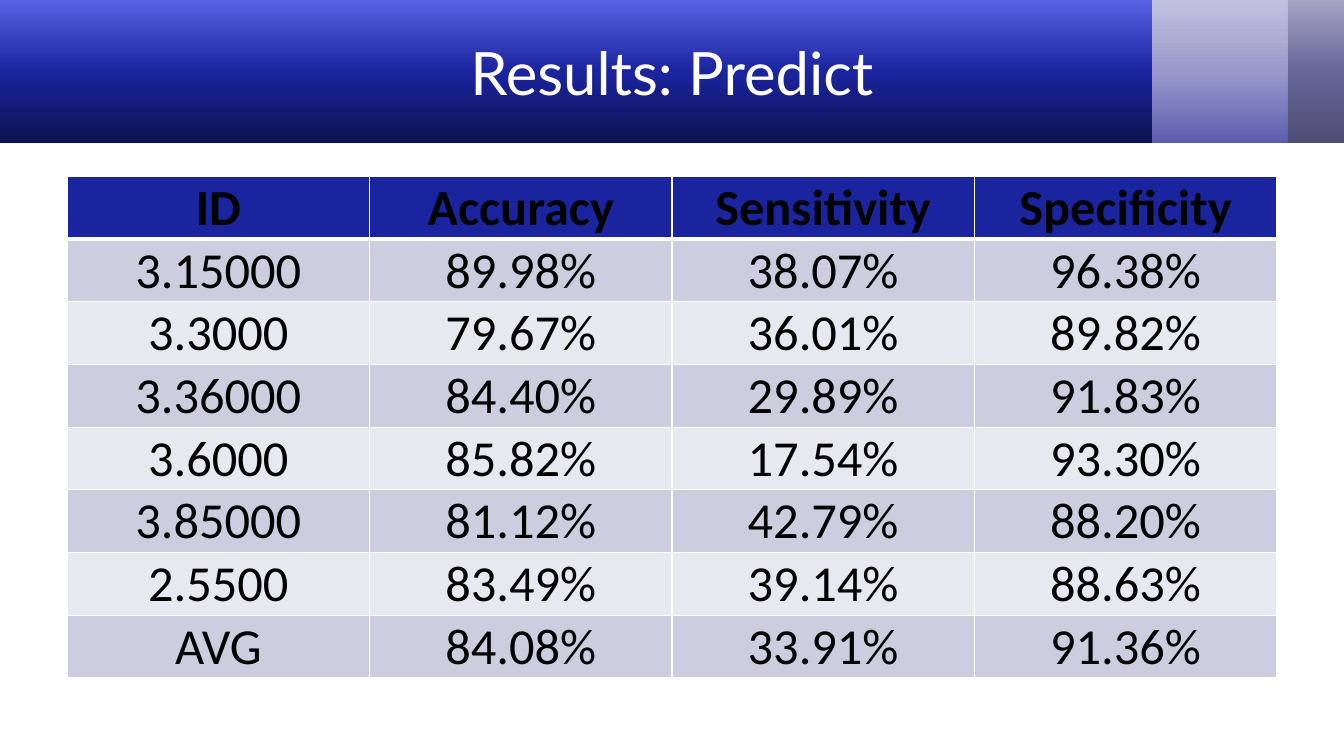
"""Build the slide of prediction results: a banded title above a table."""
from copy import deepcopy
from dataclasses import dataclass

from lxml import etree
from pptx import Presentation
from pptx import util as u
from pptx.dml.color import RGBColor
from pptx.enum import shapes, text
from pptx.oxml import ns

WIDE, HIGH = u.Inches(13.33), u.Inches(7.5)


@dataclass(frozen=True)
class Theme:
    """Colours, fonts and type sizes."""
    white: str = "FFFFFF"
    ink: str = "000000"
    head: str = "1B249F"
    rows: tuple[str, str] = ("CDCDDF", "E8E8F0")
    title_font: str = "Lato"
    table_font: str = "Calibri"
    title_size: float = 42.7
    table_size: float = 36
    thin: float = 1
    thick: float = 3


@dataclass(frozen=True)
class Box:
    """A place, in percent of the slide's width and height."""
    left: float
    top: float
    width: float
    height: float

    def emu(self) -> tuple[int, int, int, int]:
        """Return left, top, width and height in EMU."""
        return (int(WIDE * self.left / 100), int(HIGH * self.top / 100),
                int(WIDE * self.width / 100), int(HIGH * self.height / 100))


@dataclass(frozen=True)
class Band:
    """One gradient block of the header, coloured from bottom to top."""
    box: Box
    tints: tuple[str, str, str]


THEME = Theme()
BANDS = (
    Band(Box(94.3, 0, 5.82, 18.95), ("4D4D73", "666699", "A3A3C2")),
    Band(Box(85.3, 0, 10.5, 18.95), ("5D5DAE", "9999CC", "C2C2E0")),
    Band(Box(0, 0, 85.75, 18.95), ("0D1250", "1B249F", "5962E3")),
)
TITLE = Box(5, 1.07, 90, 16.67)
TABLE = Box(5, 23.33, 90, 65.07)
RESULTS = (
    ("ID", "Accuracy", "Sensitivity", "Specificity"),
    ("3.15000", "89.98%", "38.07%", "96.38%"),
    ("3.3000", "79.67%", "36.01%", "89.82%"),
    ("3.36000", "84.40%", "29.89%", "91.83%"),
    ("3.6000", "85.82%", "17.54%", "93.30%"),
    ("3.85000", "81.12%", "42.79%", "88.20%"),
    ("2.5500", "83.49%", "39.14%", "88.63%"),
    ("AVG", "84.08%", "33.91%", "91.36%"),
)


def style(para, face: str, size: float, tint: str, bold: bool = False) -> None:
    """Centre a paragraph and set its font."""
    para.alignment = text.PP_ALIGN.CENTER
    font = para.font
    font.name, font.size, font.bold = face, u.Pt(size), bold
    font.color.rgb = RGBColor.from_string(tint)


def draw_band(slide, band: Band) -> None:
    """Draw one header block with a three-stop vertical gradient."""
    block = slide.shapes.add_shape(shapes.MSO_SHAPE.RECTANGLE, *band.box.emu())
    block.shadow.inherit = False
    block.line.fill.background()
    fill = block.fill
    fill.gradient()
    fill.gradient_angle = 90
    first = block._element.spPr.find(".//" + ns.qn("a:gs"))
    first.addnext(deepcopy(first))
    for rank, (stop, tint) in enumerate(zip(fill.gradient_stops, band.tints)):
        stop.position = rank / 2
        stop.color.rgb = RGBColor.from_string(tint)


def draw_title(slide, words: str) -> None:
    """Place the title in front of the header blocks."""
    title = slide.shapes.title
    title.left, title.top, title.width, title.height = TITLE.emu()
    slide.shapes._spTree.append(title._element)
    frame = title.text_frame
    frame.text = words
    frame.auto_size = text.MSO_AUTO_SIZE.NONE
    frame.vertical_anchor = text.MSO_ANCHOR.MIDDLE
    style(frame.paragraphs[0], THEME.title_font, THEME.title_size, THEME.white)


def edge(cell, row: int) -> None:
    """Rule a cell in white, with a thick line below the header row."""
    props = cell._tc.get_or_add_tcPr()
    thick = {(0, "lnB"), (1, "lnT")}
    for spot, side in enumerate(("lnL", "lnR", "lnT", "lnB")):
        width = THEME.thick if (row, side) in thick else THEME.thin
        line = etree.Element(ns.qn("a:" + side), w=str(u.Pt(width)))
        fill = etree.SubElement(line, ns.qn("a:solidFill"))
        etree.SubElement(fill, ns.qn("a:srgbClr"), val=THEME.white)
        props.insert(spot, line)


def draw_cell(cell, words: str, row: int) -> None:
    """Fill, write and rule one table cell."""
    tint = THEME.rows[(row - 1) % 2] if row else THEME.head
    cell.fill.solid()
    cell.fill.fore_color.rgb = RGBColor.from_string(tint)
    cell.margin_left = cell.margin_right = cell.margin_top = u.Inches(0.01)
    cell.margin_bottom = 0
    cell.vertical_anchor = text.MSO_ANCHOR.MIDDLE
    cell.text = words
    style(cell.text_frame.paragraphs[0], THEME.table_font, THEME.table_size,
          THEME.ink, bold=row == 0)
    edge(cell, row)


def draw_table(slide) -> None:
    """Draw the results on an even grid of rows and columns."""
    grid = slide.shapes.add_table(
        len(RESULTS), len(RESULTS[0]), *TABLE.emu()).table
    for row, line in enumerate(RESULTS):
        for col, words in enumerate(line):
            draw_cell(grid.cell(row, col), words, row)


def main() -> None:
    """Build and save the slide."""
    deck = Presentation()
    deck.slide_width, deck.slide_height = WIDE, HIGH
    slide = deck.slides.add_slide(deck.slide_layouts[5])
    for band in BANDS:
        draw_band(slide, band)
    draw_title(slide, "Results: Predict")
    draw_table(slide)
    deck.save("out.pptx")


if __name__ == "__main__":
    main()
